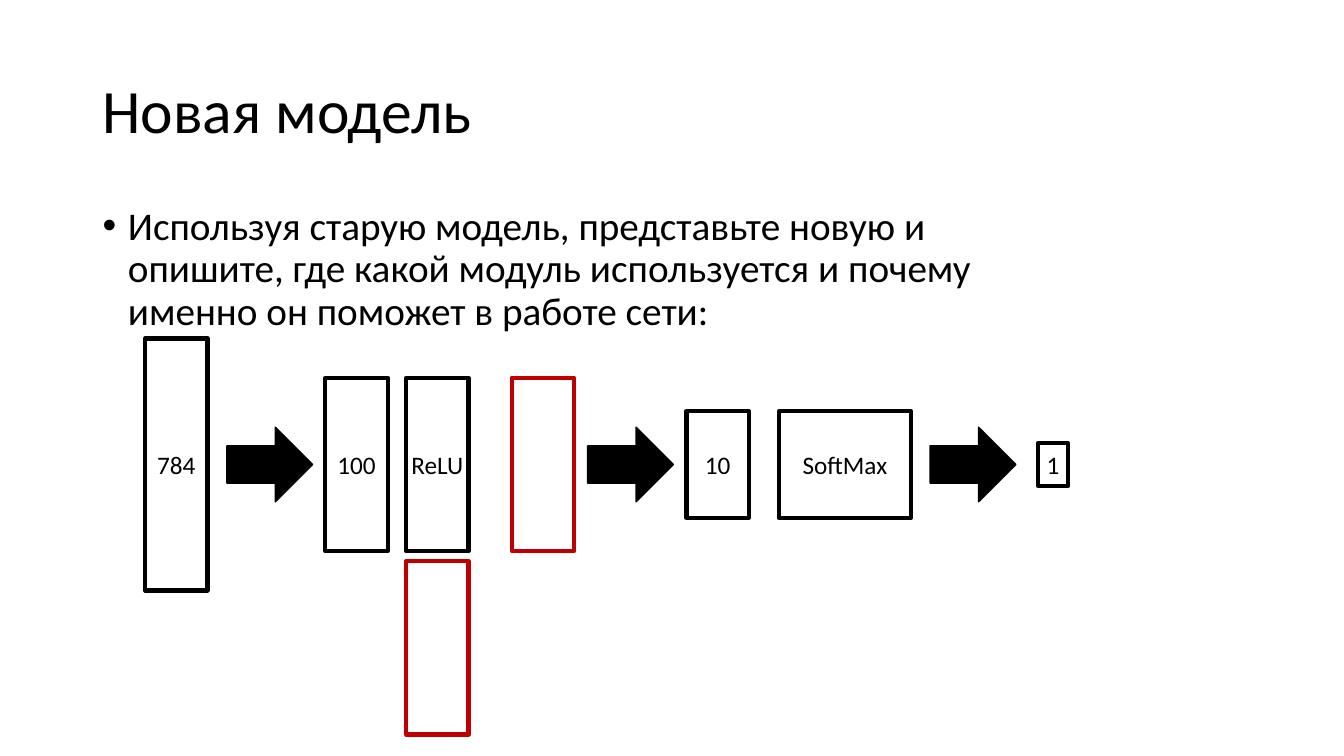
from dataclasses import dataclass

from pptx import Presentation
from pptx.dml.color import RGBColor
from pptx.enum.shapes import MSO_SHAPE as Shape
from pptx.enum.text import MSO_ANCHOR as Anchor, MSO_AUTO_SIZE as AutoSize, PP_ALIGN as Align
from pptx.util import Cm, Pt


@dataclass(frozen=True)
class Theme:
    font: str = "Calibri"
    ink: RGBColor = RGBColor(0x00, 0x00, 0x00)
    paper: RGBColor = RGBColor(0xFF, 0xFF, 0xFF)
    accent: RGBColor = RGBColor(0xC0, 0x00, 0x00)
    title_size: Pt = Pt(44)
    body_size: Pt = Pt(28)
    label_size: Pt = Pt(18)
    outline: Pt = Pt(3)
    arrow_outline: Pt = Pt(1)


@dataclass(frozen=True)
class Box:
    """An area of the slide, in centimetres."""
    left: float
    top: float
    width: float
    height: float

    def lengths(self):
        return [Cm(value) for value in (self.left, self.top, self.width, self.height)]


THEME = Theme()
TITLE_BOX = Box(2.33, 1.01, 29.21, 3.68)
BODY_BOX = Box(2.33, 5.08, 23.35, 12.09)
NETWORK_BOX = Box(3.66, 8.53, 23.26, 10.0)

# Offsets and sizes inside the network box, in centimetres.
LAYER_WIDTH, HIDDEN_HEIGHT, OUTPUT_HEIGHT = 1.57, 4.37, 2.69
INPUT_HEIGHT = 6.35
RELU_OFFSET = 6.58
LAYERS = [  # offset, width, height, label
    (0, LAYER_WIDTH, INPUT_HEIGHT, "784"),
    (4.54, LAYER_WIDTH, HIDDEN_HEIGHT, "100"),
    (RELU_OFFSET, LAYER_WIDTH, HIDDEN_HEIGHT, "ReLU"),
    (13.64, LAYER_WIDTH, OUTPUT_HEIGHT, "10"),
    (15.97, 3.33, OUTPUT_HEIGHT, "SoftMax"),
    (22.5, 0.76, 1.07, "1"),
]
NEW_MODULES = [(9.24, 0), (RELU_OFFSET, 4.62)]  # offset, drop below the axis
ARROW_OFFSETS = [2.06, 11.15, 19.78]
ARROW_WIDTH, ARROW_HEIGHT = 2.16, 1.88


def set_font(paragraph, size):
    paragraph.font.name = THEME.font
    paragraph.font.size = size
    paragraph.font.color.rgb = THEME.ink


def fill_placeholder(placeholder, box, text, size, anchor):
    placeholder.left, placeholder.top, placeholder.width, placeholder.height = box.lengths()
    frame = placeholder.text_frame
    frame.text = text
    frame.word_wrap = True
    frame.auto_size = AutoSize.NONE
    frame.vertical_anchor = anchor
    paragraph = frame.paragraphs[0]
    paragraph.alignment = Align.LEFT
    paragraph.line_spacing = 0.9
    set_font(paragraph, size)
    return paragraph


def add_title(slide, box):
    fill_placeholder(slide.shapes.title, box, "Новая модель", THEME.title_size, Anchor.MIDDLE)


def add_task(slide, box):
    paragraph = fill_placeholder(
        slide.placeholders[1], box,
        "Используя старую модель, представьте новую и опишите, где какой модуль "
        "используется и почему именно он поможет в работе сети:",
        THEME.body_size, Anchor.TOP)
    paragraph.space_before = Pt(10)
    properties = paragraph._p.get_or_add_pPr()
    properties.set("marL", str(Cm(0.64)))
    properties.set("indent", str(-Cm(0.64)))


def add_block(slide, kind, box, fill, line, line_width):
    block = slide.shapes.add_shape(kind, *box.lengths())
    block.shadow.inherit = False
    block.fill.solid()
    block.fill.fore_color.rgb = fill
    block.line.color.rgb = line
    block.line.width = line_width
    return block


def add_network(slide, box):
    """Centre the layers, new modules and arrows on one horizontal axis."""
    axis = box.top + INPUT_HEIGHT / 2

    def centred(offset, width, height, drop=0):
        return Box(box.left + offset, axis - height / 2 + drop, width, height)

    for offset, width, height, label in LAYERS:
        layer = add_block(slide, Shape.RECTANGLE, centred(offset, width, height),
                          THEME.paper, THEME.ink, THEME.outline)
        frame = layer.text_frame
        frame.text = label
        frame.word_wrap = False
        frame.margin_left = frame.margin_right = 0
        frame.vertical_anchor = Anchor.MIDDLE
        frame.paragraphs[0].alignment = Align.CENTER
        set_font(frame.paragraphs[0], THEME.label_size)
    for offset, drop in NEW_MODULES:
        add_block(slide, Shape.RECTANGLE, centred(offset, LAYER_WIDTH, HIDDEN_HEIGHT, drop),
                  THEME.paper, THEME.accent, THEME.outline)
    for offset in ARROW_OFFSETS:
        add_block(slide, Shape.RIGHT_ARROW, centred(offset, ARROW_WIDTH, ARROW_HEIGHT),
                  THEME.ink, THEME.ink, THEME.arrow_outline)


def main():
    presentation = Presentation()
    presentation.slide_width, presentation.slide_height = Cm(33.87), Cm(19.05)
    slide = presentation.slides.add_slide(presentation.slide_layouts[1])
    add_title(slide, TITLE_BOX)
    add_task(slide, BODY_BOX)
    add_network(slide, NETWORK_BOX)
    presentation.save("out.pptx")


if __name__ == "__main__":
    main()
